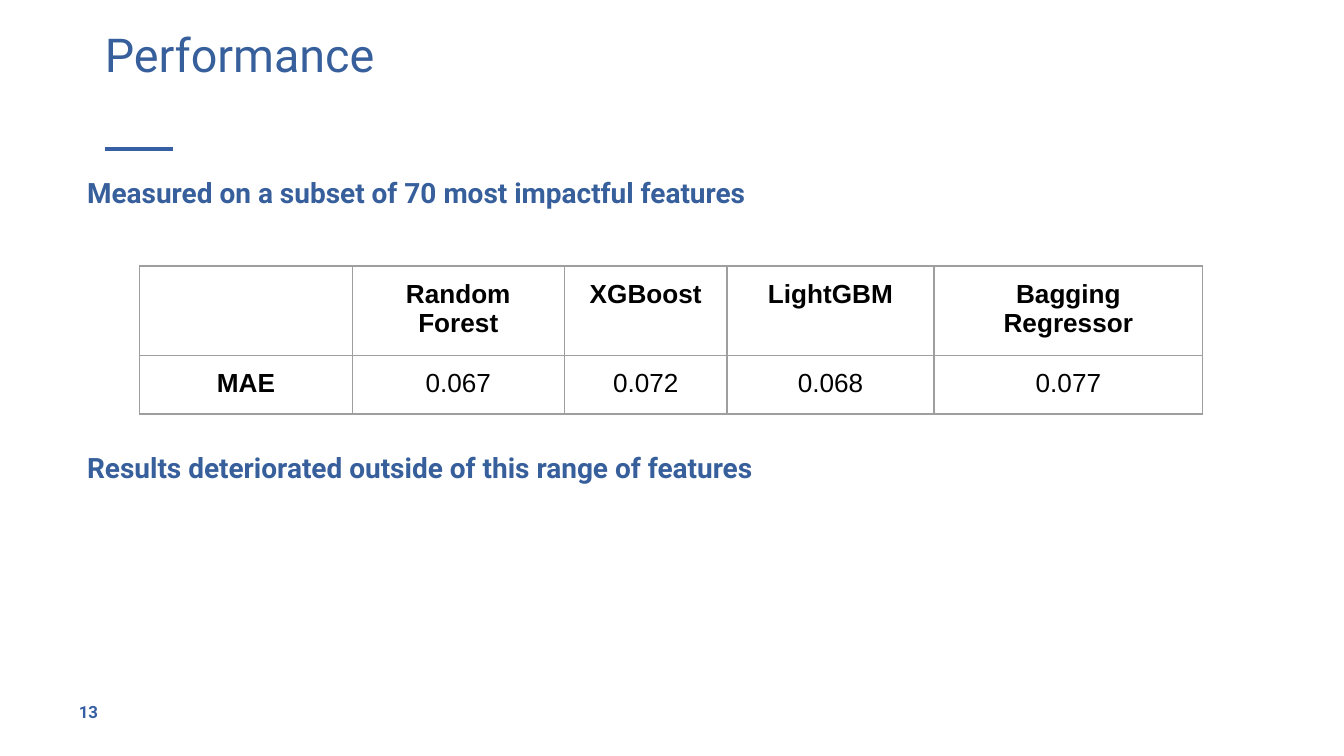
from lxml.etree import SubElement
from pptx import Presentation
from pptx.dml.color import RGBColor
from pptx.enum.shapes import MSO_CONNECTOR, MSO_SHAPE
from pptx.enum.text import MSO_ANCHOR as Anchor, MSO_AUTO_SIZE, PP_ALIGN as Align
from pptx.oxml.ns import qn
from pptx.util import Inches, Pt

# Content
TITLE = "Performance"
FINDINGS = [
    "Measured on a subset of 70 most impactful features",
    "Results deteriorated outside of this range of features",
]
SCORES = [
    ["", "Random Forest", "XGBoost", "LightGBM", "Bagging\nRegressor"],
    ["MAE", "0.067", "0.072", "0.068", "0.077"],
]
PAGE = "13"

# Format
COLORS = {"text": "375F9B", "accent": "3760A4", "grid": "9E9E9E",
          "black": "000000", "white": "FFFFFF"}
COLUMN_WIDTHS = [1.58, 1.58, 1.21, 1.54, 2]
ROW_HEIGHTS = [0.63, 0.42]
TABLE_GAP = 129  # points between the findings, leaving room for the table


def rgb(name):
    return RGBColor.from_string(COLORS[name])


def write(frame, text, size=14, font="Roboto", color="text", bold=False,
          align=Align.LEFT, anchor=Anchor.TOP, gaps=()):
    frame.vertical_anchor = anchor
    frame.text = text
    for paragraph in frame.paragraphs:
        paragraph.alignment = align
        for run in paragraph.runs:
            face = run.font
            face.name, face.size, face.bold = font, Pt(size), bold
            face.color.rgb = rgb(color)
    for paragraph, gap in zip(frame.paragraphs, gaps):
        paragraph.space_before = Pt(gap)


def set_margins(box, margin=0.1):
    box.margin_left = box.margin_right = Inches(margin)
    box.margin_top = box.margin_bottom = Inches(margin)


def add_borders(cell):
    properties = cell._tc.get_or_add_tcPr()
    for position, side in enumerate(("a:lnL", "a:lnR", "a:lnT", "a:lnB")):
        border = SubElement(properties, qn(side), w=str(Pt(0.75)))
        fill = SubElement(border, qn("a:solidFill"))
        SubElement(fill, qn("a:srgbClr"), val=COLORS["grid"])
        properties.insert(position, border)


deck = Presentation()
deck.slide_width = Inches(10)
deck.slide_height = Inches(10 * 9 / 16)
slide = deck.slides.add_slide(deck.slide_layouts[5])
shapes = slide.shapes

# Title and the short rule below it
title = shapes.title
title.left, title.top = Inches(0.68), Inches(0.09)
title.width, title.height = Inches(7.83), Inches(0.94)
title.text_frame.word_wrap = True
title.text_frame.auto_size = MSO_AUTO_SIZE.NONE
set_margins(title.text_frame)
write(title.text_frame, TITLE, size=25)

rule = shapes.add_connector(MSO_CONNECTOR.STRAIGHT, Inches(0.78), Inches(1.11),
                            Inches(1.29), Inches(1.11))
rule.line.color.rgb = rgb("accent")
rule.line.width = Pt(2)
SubElement(rule._element.spPr, qn("a:effectLst"))

# Findings above and below the table
findings = shapes.add_textbox(Inches(0.55), Inches(1.21), Inches(8.67), Inches(3.37))
findings.text_frame.word_wrap = True
set_margins(findings.text_frame)
write(findings.text_frame, "\n".join(FINDINGS), size=15, bold=True,
      gaps=(3, TABLE_GAP))

# Score table
scores = shapes.add_table(len(SCORES), len(COLUMN_WIDTHS), Inches(1.04), Inches(1.98),
                          Inches(sum(COLUMN_WIDTHS)), Inches(sum(ROW_HEIGHTS))).table
for column, width in zip(scores.columns, COLUMN_WIDTHS):
    column.width = Inches(width)
for row, height in zip(scores.rows, ROW_HEIGHTS):
    row.height = Inches(height)
for r, values in enumerate(SCORES):
    for c, value in enumerate(values):
        cell = scores.cell(r, c)
        cell.fill.solid()
        cell.fill.fore_color.rgb = rgb("white")
        set_margins(cell)
        write(cell.text_frame, value, font="Arial", color="black",
              bold=r == 0 or c == 0, align=Align.CENTER)
        add_borders(cell)

# Footer band and page number
footer = shapes.add_shape(MSO_SHAPE.RECTANGLE, 0, Inches(4.75), Inches(10), Inches(0.83))
footer.shadow.inherit = False
footer.fill.solid()
footer.fill.fore_color.rgb = rgb("white")
footer.line.color.rgb = rgb("white")
footer.line.width = Pt(0.75)

page = shapes.add_textbox(Inches(0.22), Inches(5.08), Inches(0.6), Inches(0.43))
page.text_frame.word_wrap = True
set_margins(page.text_frame, 0.09)
write(page.text_frame, PAGE, size=9, color="accent", bold=True,
      align=Align.RIGHT, anchor=Anchor.MIDDLE)

deck.save("out.pptx")
